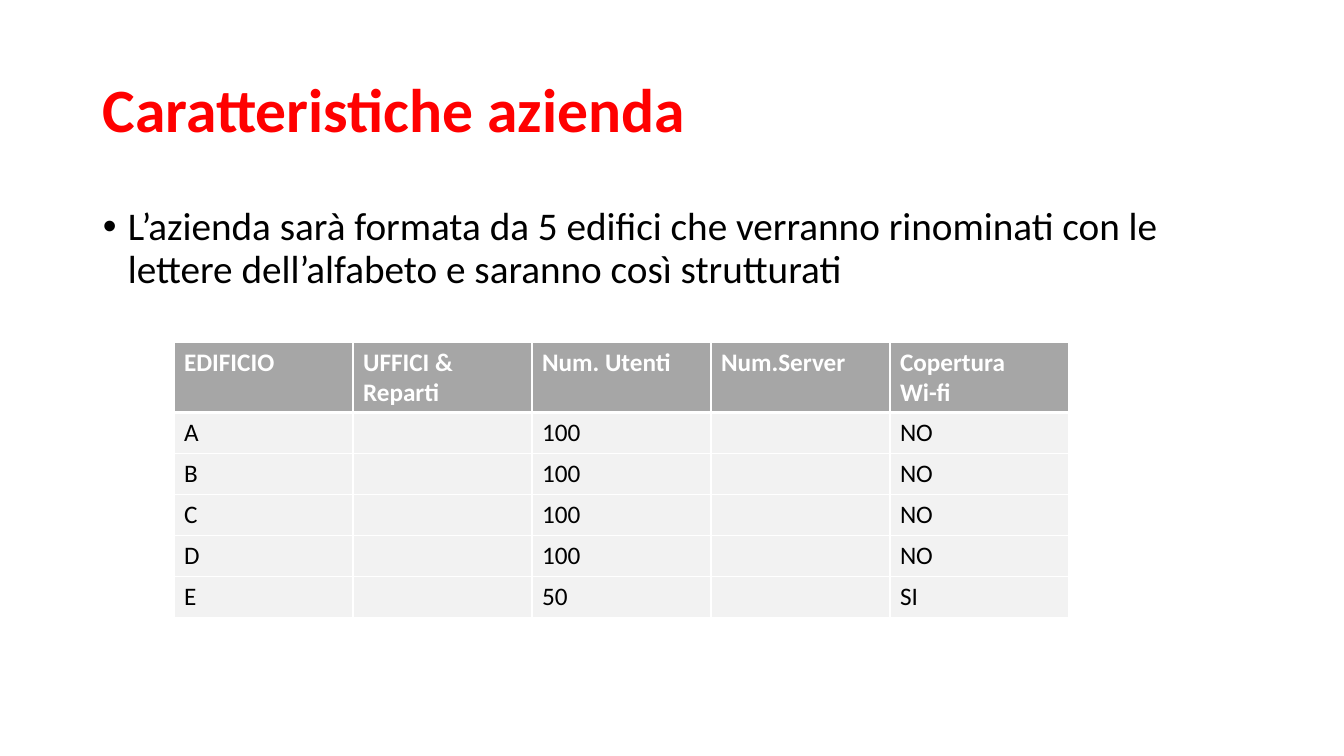
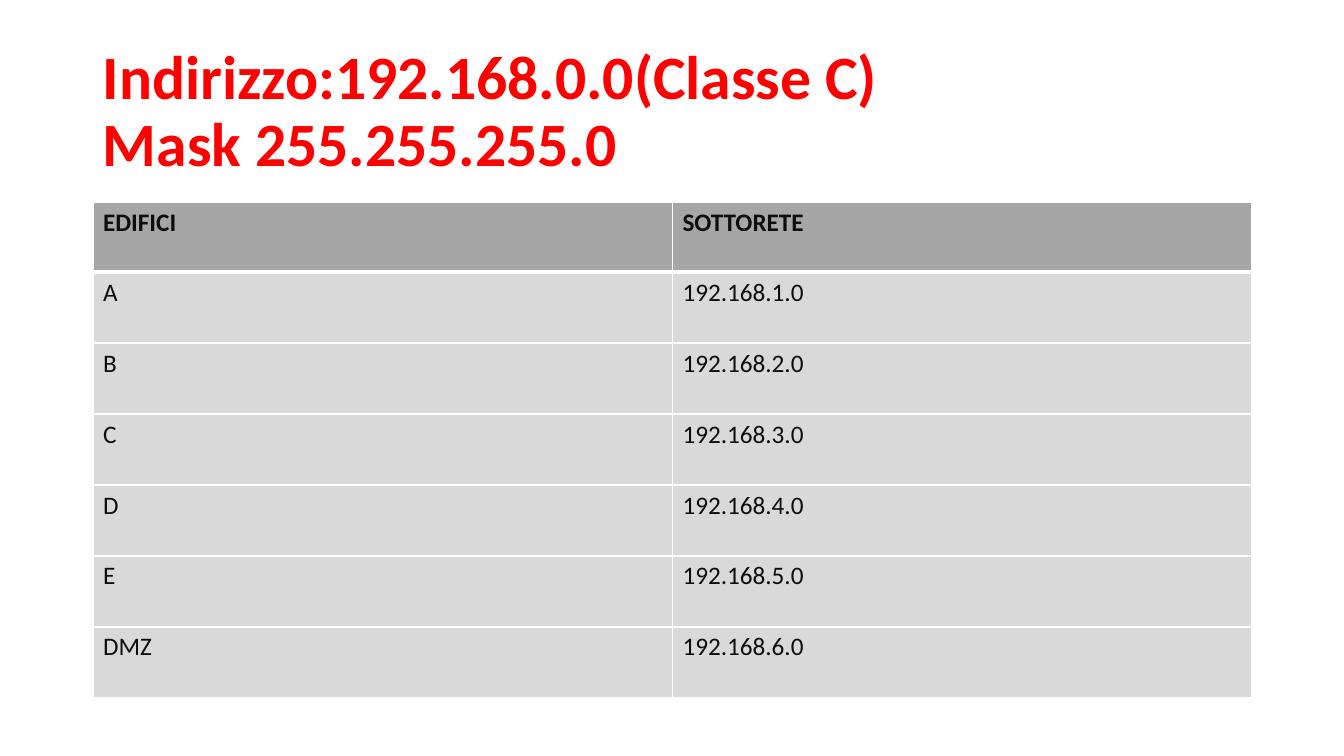
"""Build two slides on a company's buildings and their subnets."""
import pptx
import pptx.util
import pptx.dml.color
import pptx.enum.text
import pptx.oxml
import pptx.oxml.ns

SCALE = 12192000 / 1344
FONT = "Calibri"
RED, BLACK, WHITE, INK = "FF0000", "000000", "FFFFFF", "0D0D0D"
HEAD, PALE, GREY = "A6A6A6", "F2F2F2", "D9D9D9"
LEFT, WIDE = 93, 1159
MIDDLE = pptx.enum.text.MSO_ANCHOR.MIDDLE


def px(size):
    return pptx.util.Emu(round(size * SCALE))


def write(frame, text, size=18, color=BLACK, bold=False, line=None, bullet=False):
    frame.word_wrap = True
    frame.text = text
    for para in frame.paragraphs:
        if line:
            para.line_spacing = line
        if bullet:
            props = para._p.get_or_add_pPr()
            props.set("marL", str(px(25)))
            props.set("indent", str(-px(25)))
            for xml in ('<a:buFont %s typeface="Arial"/>', '<a:buChar %s char="•"/>'):
                props.append(pptx.oxml.parse_xml(xml % pptx.oxml.ns.nsdecls("a")))
        for run in para.runs:
            run.font.name = FONT
            run.font.size = pptx.util.Pt(size)
            run.font.bold = bold
            run.font.color.rgb = pptx.dml.color.RGBColor.from_string(color)


deck = pptx.Presentation()
deck.slide_width, deck.slide_height = px(1344), px(756)

plans = [
    dict(
        title="Caratteristiche azienda",
        body="L’azienda sarà formata da 5 edifici che verranno rinominati "
             "con le lettere dell’alfabeto e saranno così strutturati",
        left=174, top=342, col=179, first=70, row=41,
        ink=(WHITE, BLACK), fill=PALE,
        rows=[("EDIFICIO", "UFFICI & Reparti", "Num. Utenti", "Num.Server",
               "Copertura\nWi-fi")]
        + [(name, "", "100", "", "NO") for name in "ABCD"]
        + [("E", "", "50", "", "SI")],
    ),
    dict(
        title="Indirizzo:192.168.0.0(Classe C)\vMask 255.255.255.0",
        body="",
        left=LEFT, top=202, col=WIDE / 2, first=70, row=71,
        ink=(INK, INK), fill=GREY,
        rows=[("EDIFICI", "SOTTORETE")]
        + [(name, f"192.168.{net}.0")
           for net, name in enumerate(["A", "B", "C", "D", "E", "DMZ"], 1)],
    ),
]

for plan in plans:
    slide = deck.slides.add_slide(deck.slide_layouts[6])
    title = slide.shapes.add_textbox(px(LEFT), px(40), px(WIDE), px(146))
    title.text_frame.vertical_anchor = MIDDLE
    write(title.text_frame, plan["title"], size=44, color=RED, bold=True, line=0.9)
    if plan["body"]:
        body = slide.shapes.add_textbox(px(LEFT), px(202), px(WIDE), px(480))
        write(body.text_frame, plan["body"], size=28, line=0.9, bullet=True)

    rows = plan["rows"]
    count = len(rows[0])
    high = plan["first"] + plan["row"] * (len(rows) - 1)
    grid = slide.shapes.add_table(len(rows), count, px(plan["left"]), px(plan["top"]),
                                  px(plan["col"] * count), px(high)).table
    for col in grid.columns:
        col.width = px(plan["col"])
    for r, row in enumerate(rows):
        top = r == 0
        grid.rows[r].height = px(plan["first"] if top else plan["row"])
        for c, text in enumerate(row):
            cell = grid.cell(r, c)
            write(cell.text_frame, text, color=plan["ink"][0 if top else 1], bold=top)
            props = cell._tc.get_or_add_tcPr()
            for side in "LRTB":
                thick = (side == "B" and r == 0) or (side == "T" and r == 1)
                width = pptx.util.Pt(3 if thick else 1)
                props.append(pptx.oxml.parse_xml(
                    f'<a:ln{side} {pptx.oxml.ns.nsdecls("a")} w="{width}"><a:solidFill>'
                    f'<a:srgbClr val="{WHITE}"/></a:solidFill></a:ln{side}>'))
            cell.fill.solid()
            shade = HEAD if top else plan["fill"]
            cell.fill.fore_color.rgb = pptx.dml.color.RGBColor.from_string(shade)

deck.save("out.pptx")
